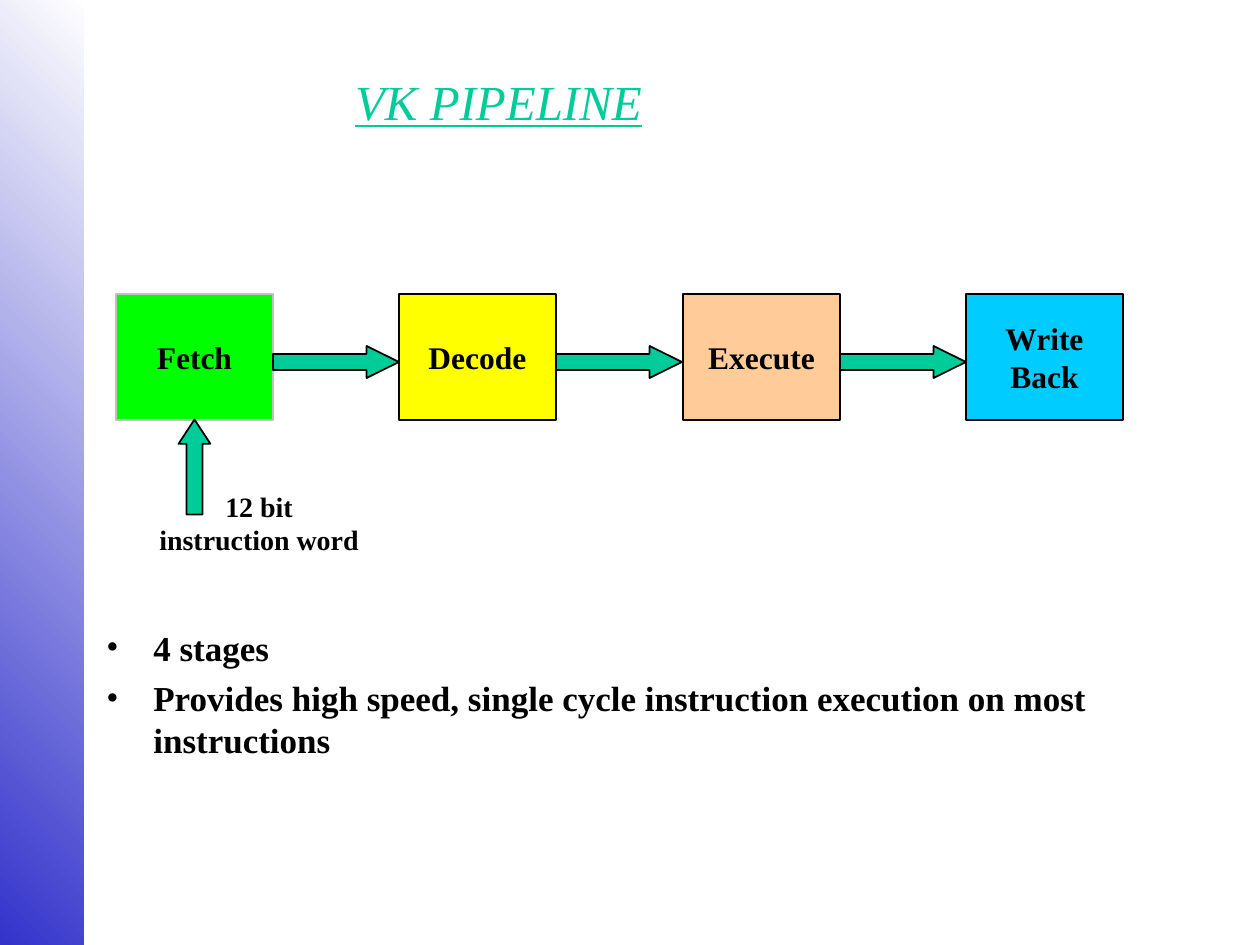
from dataclasses import dataclass

from lxml.etree import SubElement
from pptx import Presentation
from pptx.dml.color import RGBColor
from pptx.enum.shapes import MSO_SHAPE
from pptx.enum.text import MSO_ANCHOR, PP_ALIGN
from pptx.oxml.ns import qn
from pptx.util import Emu, Pt


@dataclass(frozen=True)
class Theme:
    font: str = "Times New Roman"
    text: str = "000000"
    accent: str = "00CC99"
    band_start: str = "FEFEFE"
    band_end: str = "3333CC"
    title_size: int = 28
    bullet_size: int = 20
    stage_size: int = 18
    note_size: int = 16


theme = Theme()
EMU_PER_PX = 914400 / 126


def px(*lengths):
    return [Emu(round(length * EMU_PER_PX)) for length in lengths]


def write(shape, lines, size, color=theme.text, bold=True, align=PP_ALIGN.CENTER):
    frame = shape.text_frame
    frame.text = "\n".join(lines)
    for paragraph in frame.paragraphs:
        paragraph.alignment = align
        paragraph.font.name = theme.font
        paragraph.font.size = Pt(size)
        paragraph.font.bold = bold
        paragraph.font.color.rgb = RGBColor.from_string(color)
    return frame


presentation = Presentation()
presentation.slide_width, presentation.slide_height = px(1260, 945)
slide = presentation.slides.add_slide(presentation.slide_layouts[5])
shapes = slide.shapes

title = shapes.title
title.left, title.top, title.width, title.height = px(278, 38, 441, 126)
title_frame = write(title, ["VK PIPELINE"], theme.title_size, theme.accent, bold=False)
title_frame.vertical_anchor = MSO_ANCHOR.MIDDLE
title_frame.paragraphs[0].font.italic = True
title_frame.paragraphs[0].font.underline = True

band = shapes.add_shape(MSO_SHAPE.RECTANGLE, *px(0, 0, 84, 945))
band.shadow.inherit = False
band.line.fill.background()
band.fill.gradient()
band.fill.gradient_angle = 225
for stop, color, position in zip(
    band.fill.gradient_stops, (theme.band_start, theme.band_end), (0, 1)
):
    stop.color.rgb = RGBColor.from_string(color)
    stop.position = position

bullets = shapes.add_textbox(*px(94, 620, 1071, 219))
bullet_frame = write(
    bullets,
    [
        "4 stages",
        "Provides high speed, single cycle instruction execution on most instructions",
    ],
    theme.bullet_size,
    align=PP_ALIGN.LEFT,
)
bullet_frame.word_wrap = True
indent = px(47)[0]
for paragraph in bullet_frame.paragraphs:
    paragraph.space_before = Pt(5)
    properties = paragraph._p.get_or_add_pPr()
    properties.set("marL", str(indent))
    properties.set("indent", str(-indent))
    SubElement(properties, qn("a:buFont"), typeface=theme.font)
    SubElement(properties, qn("a:buChar"), char="•")

stages = [
    (["Fetch"], "00FF00", "C0C0C0"),
    (["Decode"], "FFFF00", "000000"),
    (["Execute"], "FFCC99", "000000"),
    (["Write", "Back"], "00CCFF", "000000"),
]
stage_lefts = [116 + index * 567 // 2 for index in range(len(stages))]
for left, (lines, fill, outline) in zip(stage_lefts, stages):
    stage = shapes.add_shape(MSO_SHAPE.RECTANGLE, *px(left, 294, 157, 126))
    stage.shadow.inherit = False
    stage.fill.solid()
    stage.fill.fore_color.rgb = RGBColor.from_string(fill)
    stage.line.color.rgb = RGBColor.from_string(outline)
    stage.line.width = Pt(1)
    stage_frame = write(stage, lines, theme.stage_size)
    stage_frame.vertical_anchor = MSO_ANCHOR.MIDDLE
    stage_frame.word_wrap = False

arrows = [(147, 451, 95, 270, 0.76)]
arrows += [(left + 157, 346, 126, 0, 1.01) for left in stage_lefts[:-1]]
for left, top, length, rotation, head in arrows:
    arrow = shapes.add_shape(MSO_SHAPE.RIGHT_ARROW, *px(left, top, length, 32))
    arrow.shadow.inherit = False
    arrow.rotation = rotation
    arrow.adjustments[0] = 0.5
    arrow.adjustments[1] = head
    arrow.fill.solid()
    arrow.fill.fore_color.rgb = RGBColor.from_string(theme.accent)
    arrow.line.color.rgb = RGBColor.from_string(theme.text)
    arrow.line.width = Pt(1)

note = shapes.add_textbox(*px(144, 483, 230, 79))
note_frame = write(note, ["12 bit", "instruction word"], theme.note_size)
note_frame.word_wrap = False

presentation.save("out.pptx")
